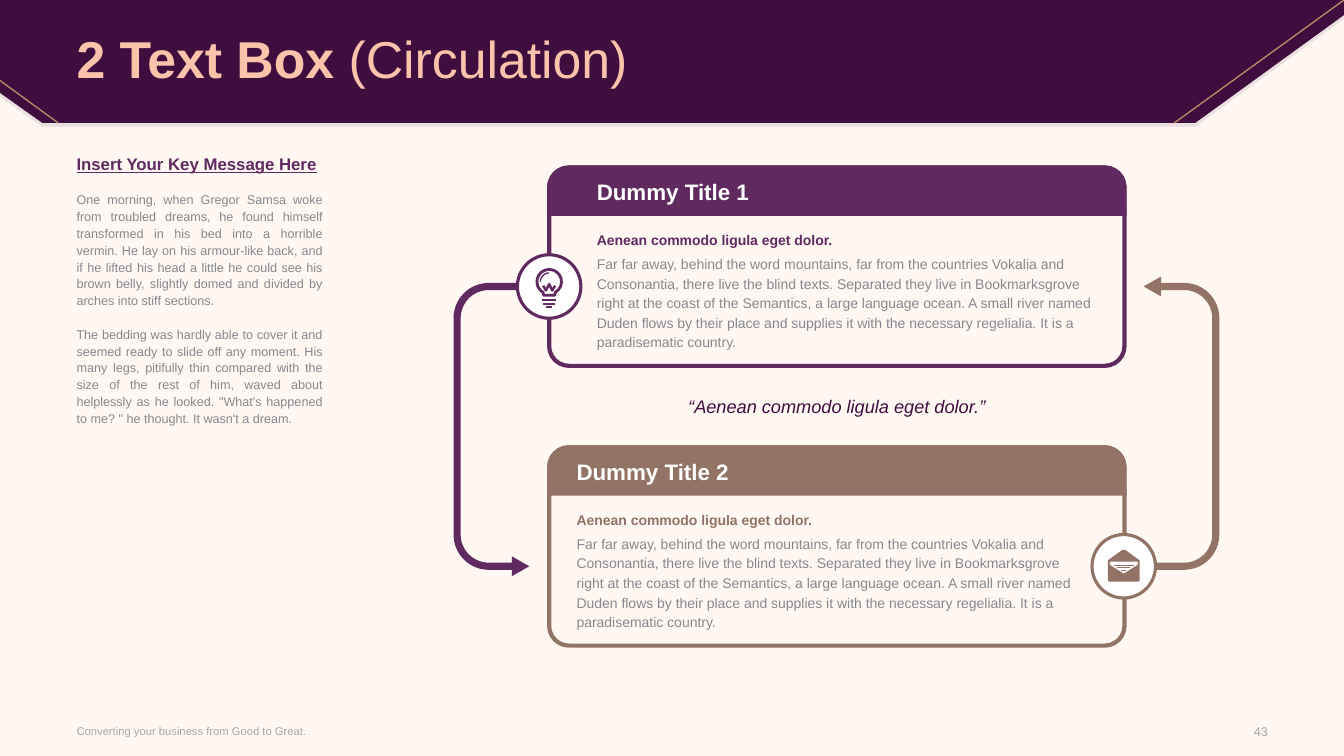
from math import cos, radians, sin

from lxml import etree
from pptx import Presentation
from pptx.dml.color import RGBColor
from pptx.enum.shapes import MSO_CONNECTOR, MSO_SHAPE
from pptx.enum.text import MSO_ANCHOR, PP_ALIGN
from pptx.oxml.ns import qn
from pptx.util import Cm, Pt

STRAIGHT = MSO_CONNECTOR.STRAIGHT
ELLIPSE = MSO_SHAPE.OVAL
ROUNDED = MSO_SHAPE.ROUNDED_RECTANGLE
ROUNDED_TOP = MSO_SHAPE.ROUND_2_SAME_RECTANGLE
TOP, MIDDLE = MSO_ANCHOR.TOP, MSO_ANCHOR.MIDDLE
LEFT, CENTER = PP_ALIGN.LEFT, PP_ALIGN.CENTER
RIGHT, JUSTIFY = PP_ALIGN.RIGHT, PP_ALIGN.JUSTIFY

CREAM, WHITE, GRAY, PALE_GRAY = "FFF7F2", "FFFFFF", "85898F", "A6A6A6"
DARK, PURPLE, BROWN = "3F0D3E", "602A60", "927365"
PEACH, GOLD = "FBC4AA", "B98763"

KEY_MESSAGES = [
    "Insert Your Key Message Here",
    "One morning, when Gregor Samsa woke from troubled dreams, he found himself "
    "transformed in his bed into a horrible vermin. He lay on his armour-like back, "
    "and if he lifted his head a little he could see his brown belly, slightly domed "
    "and divided by arches into stiff sections.",
    "The bedding was hardly able to cover it and seemed ready to slide off any moment. "
    "His many legs, pitifully thin compared with the size of the rest of him, waved "
    "about helplessly as he looked. \"What's happened to me? \" he thought. "
    "It wasn't a dream.",
]
CARD_HEADING = "Aenean commodo ligula eget dolor."
CARD_BODY = (
    "Far far away, behind the word mountains, far from the countries Vokalia and "
    "Consonantia, there live the blind texts. Separated they live in Bookmarksgrove "
    "right at the coast of the Semantics, a large language ocean. A small river named "
    "Duden flows by their place and supplies it with the necessary regelialia. "
    "It is a paradisematic country."
)


def color(value):
    return RGBColor.from_string(value)


def arc(x, y, radius, start, end, steps=16):
    angles = [radians(start + (end - start) * i / steps) for i in range(steps + 1)]
    return [(x + radius * cos(angle), y + radius * sin(angle)) for angle in angles]


class SlideBuilder:
    """Holds the font and the current slide, and draws each kind of element."""

    def __init__(self, slide, font="Arial"):
        self.slide = slide
        self.font = font
        slide.background.fill.solid()
        slide.background.fill.fore_color.rgb = color(CREAM)

    def paint(self, shape, fill, line, width):
        shape.shadow.inherit = False
        if fill:
            shape.fill.solid()
            shape.fill.fore_color.rgb = color(fill)
        else:
            shape.fill.background()
        if line:
            shape.line.color.rgb = color(line)
            shape.line.width = Pt(width)
        else:
            shape.line.fill.background()
        return shape

    def shape(self, kind, x, y, width, height, fill=None, line=None, weight=1):
        shape = self.slide.shapes.add_shape(kind, Cm(x), Cm(y), Cm(width), Cm(height))
        return self.paint(shape, fill, line, weight)

    def outline(self, points, fill=None, line=None, weight=1, close=True):
        first, *rest = [(Cm(x), Cm(y)) for x, y in points]
        builder = self.slide.shapes.build_freeform(*first, scale=1.0)
        builder.add_line_segments(rest, close=close)
        return self.paint(builder.convert_to_shape(), fill, line, weight)

    def line(self, x1, y1, x2, y2, ink, weight=1):
        connector = self.slide.shapes.add_connector(
            STRAIGHT, Cm(x1), Cm(y1), Cm(x2), Cm(y2))
        connector.line.color.rgb = color(ink)
        connector.line.width = Pt(weight)
        etree.SubElement(connector._element.spPr, qn("a:effectLst"))

    def style(self, run, size, ink, bold=False, italic=False):
        run.font.name = self.font
        run.font.size = Pt(size)
        run.font.color.rgb = color(ink)
        run.font.bold = bold
        run.font.italic = italic

    def text(self, content, x, y, width, height, size, ink, bold=False, italic=False,
             align=LEFT, anchor=TOP, spacing=None):
        box = self.slide.shapes.add_textbox(Cm(x), Cm(y), Cm(width), Cm(height))
        frame = box.text_frame
        frame.word_wrap = True
        frame.vertical_anchor = anchor
        frame.margin_left = frame.margin_right = 0
        frame.margin_top = frame.margin_bottom = 0
        frame.text = content
        for paragraph in frame.paragraphs:
            paragraph.alignment = align
            if spacing:
                paragraph.line_spacing = spacing
            for run in paragraph.runs:
                self.style(run, size, ink, bold, italic)
        return frame.paragraphs

    def card(self, title, top, text_left, ink):
        frame = self.shape(ROUNDED, 13.84, top + 0.05, 14.5, 5, line=ink, weight=3)
        frame.adjustments[0] = 0.1
        header = self.shape(ROUNDED_TOP, 13.79, top, 14.6, 1.27, fill=ink)
        header.adjustments[0] = 0.43
        self.text(title, text_left, top + 0.32, 12.8, 0.69, 16, WHITE, bold=True)
        self.text(CARD_HEADING, text_left, top + 1.6, 12.8, 0.5, 10, ink, bold=True,
                  spacing=Pt(14))
        self.text(CARD_BODY, text_left, top + 2.2, 12.8, 2.49, 10, GRAY, spacing=Pt(14))

    def badge(self, x, y, ink):
        self.shape(ELLIPSE, x - 0.8, y - 0.8, 1.6, 1.6, WHITE, ink, 2.25)

    def bulb(self, x, y, ink):
        glass = arc(x, y - 0.12, 0.31, 120, 420)
        neck = [(x + 0.14, y + 0.22), (x - 0.14, y + 0.22)]
        self.outline(glass + neck, line=ink, weight=2)
        self.outline(arc(x, y - 0.12, 0.22, 180, 270), line=ink, close=False)
        filament = [(-0.15, -0.02), (-0.08, 0.1), (0, -0.06), (0.08, 0.1), (0.15, -0.02)]
        self.outline([(x + dx, y + dy) for dx, dy in filament],
                     line=ink, weight=1.75, close=False)
        for half_width, drop in ((0.17, 0.34), (0.15, 0.43), (0.08, 0.51)):
            self.line(x - half_width, y + drop, x + half_width, y + drop, ink, 1.5)

    def envelope(self, x, y, ink):
        body = [(-0.4, -0.15), (-0.04, -0.41), (0.04, -0.41), (0.4, -0.15),
                (0.4, 0.35), (0.36, 0.39), (-0.36, 0.39), (-0.4, 0.35)]
        letter = [(-0.35, -0.12), (0.35, -0.12), (0.35, -0.04), (0, 0.18), (-0.35, -0.04)]
        for points, fill in ((body, ink), (letter, WHITE)):
            self.outline([(x + dx, y + dy) for dx, dy in points], fill=fill)
        for row, half_width in enumerate((0.25, 0.16, 0.06)):
            level = y - 0.03 + row * 0.07
            self.line(x - half_width, level, x + half_width, level, ink, 0.75)


def main():
    presentation = Presentation()
    presentation.slide_width, presentation.slide_height = Cm(33.87), Cm(19.05)
    slide = presentation.slides.add_slide(presentation.slide_layouts[6])
    builder = SlideBuilder(slide)

    banner = [(0, 0), (33.87, 0), (33.87, 0.38), (30.12, 3.1), (1.07, 3.1), (0, 2.34)]
    shade = builder.outline([(x, y + 0.1) for x, y in banner], fill=DARK)
    ink = shade._element.spPr.find(qn("a:solidFill")).find(qn("a:srgbClr"))
    etree.SubElement(ink, qn("a:alpha")).set("val", "10000")
    builder.outline(banner, fill=DARK)
    builder.line(33.87, 0, 29.59, 3.1, GOLD)
    builder.line(0, 2.03, 1.47, 3.1, GOLD)

    title = builder.text("2 Text Box ", 1.93, 0.08, 30, 2.97, 37, PEACH, bold=True,
                         anchor=MIDDLE, spacing=0.9)[0]
    subtitle = title.add_run()
    subtitle.text = "(Circulation)"
    builder.style(subtitle, 37, PEACH)

    heading, *messages = builder.text("\n".join(KEY_MESSAGES), 1.93, 3.96, 6.2, 13.18,
                                      9, GRAY, align=JUSTIFY, spacing=Pt(12))
    builder.style(heading.runs[0], 12, PURPLE, bold=True)
    heading.runs[0].font.underline = True
    for message in messages:
        message.space_before = Pt(12)

    upper, lower = 7.22, 14.27
    arrow = [(13.34, lower), (12.9, lower - 0.25), (12.9, lower - 0.09)]
    arrow += arc(12.32, lower - 0.8, 0.71, 90, 180)
    arrow += arc(12.32, upper + 0.8, 0.71, 180, 270)
    arrow += [(13.03, upper + 0.09), (13.03, upper - 0.09)]
    arrow += arc(12.32, upper + 0.8, 0.89, 270, 180)
    arrow += arc(12.32, lower - 0.8, 0.89, 180, 90)
    arrow += [(12.9, lower + 0.09), (12.9, lower + 0.25)]
    builder.outline(arrow, fill=PURPLE)
    builder.outline([(42.16 - x, upper + lower - y) for x, y in arrow], fill=BROWN)

    builder.card("Dummy Title 1", 4.17, 15.04, PURPLE)
    builder.card("Dummy Title 2", 11.22, 14.53, BROWN)
    builder.badge(13.84, upper, PURPLE)
    builder.bulb(13.84, upper, PURPLE)
    builder.badge(28.32, lower, BROWN)
    builder.envelope(28.32, lower, BROWN)

    builder.text("“Aenean commodo ligula eget dolor.”", 14.99, 10.03, 12.19, 0.5, 13, DARK,
                 italic=True, align=CENTER, spacing=Pt(14))
    builder.text("Converting your business from Good to Great.", 1.93, 18.08, 13.28, 0.66,
                 8, PALE_GRAY, anchor=MIDDLE)
    builder.text("43", 30.35, 18.11, 1.6, 0.66, 9, PALE_GRAY, align=RIGHT, anchor=MIDDLE)
    presentation.save("out.pptx")


if __name__ == "__main__":
    main()
